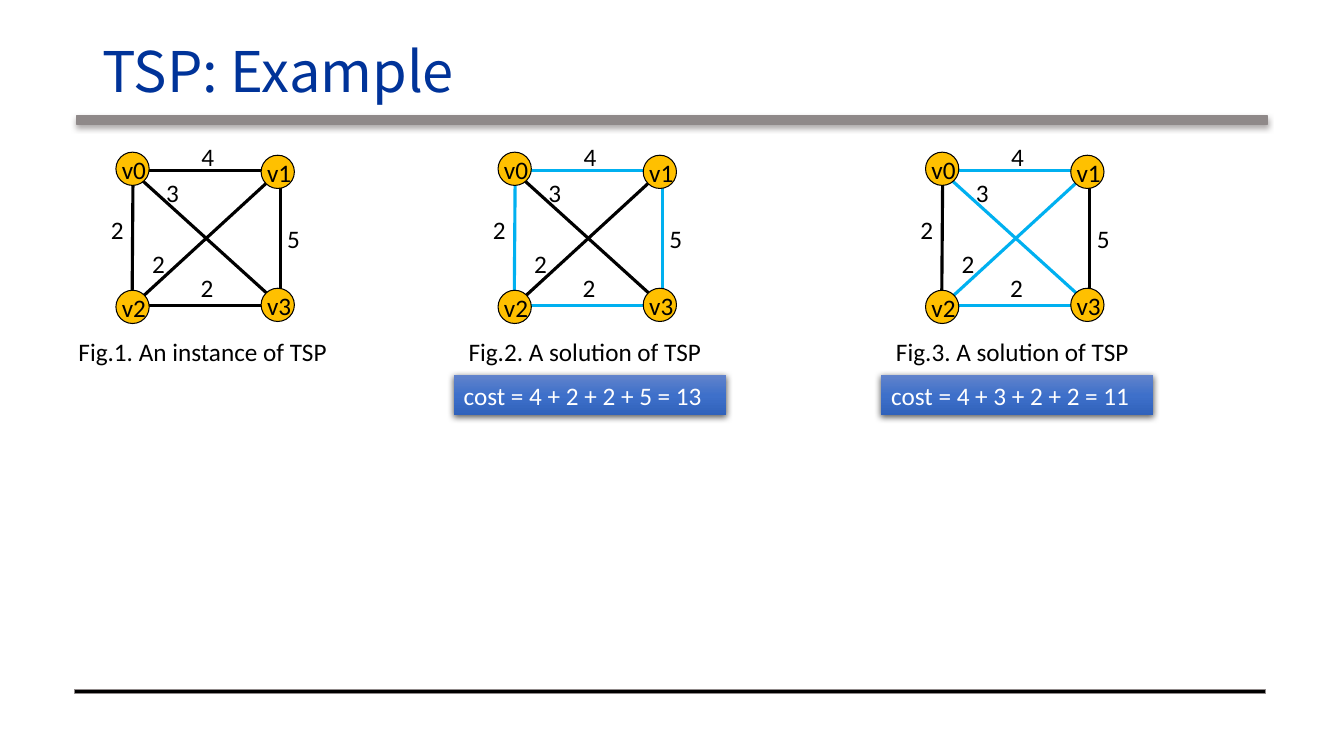
from copy import deepcopy

from lxml import etree
from pptx import Presentation
from pptx.dml.color import RGBColor
from pptx.enum.shapes import MSO_CONNECTOR, MSO_SHAPE
from pptx.enum.text import MSO_ANCHOR, MSO_AUTO_SIZE, PP_ALIGN
from pptx.oxml.ns import qn
from pptx.util import Inches, Pt

COLORS = {
    "title": "003399",
    "bar": "8F8989",
    "bar_shadow": "AFABAB",
    "black": "000000",
    "white": "FFFFFF",
    "node": "FFC000",
    "tour": "00B0F0",
}
COST_GRADIENT = [(0, "6183CB"), (0.5, "3E70CA"), (1, "3062BB")]
NODE_SIZE = 0.33

# Positions are those of the first figure; the others are shifted to the right.
NODES = {"v0": (1.15, 1.51), "v1": (2.59, 1.54), "v2": (1.15, 2.88), "v3": (2.59, 2.86)}
EDGES = {
    "v0-v2": (1.32, 1.69, 1.31, 3.03),
    "v0-v1": (1.3, 1.69, 2.78, 1.69),
    "v2-v3": (1.31, 3.03, 2.78, 3.03),
    "v1-v3": (2.78, 1.69, 2.78, 3.03),
    "v0-v3": (1.3, 1.69, 2.78, 3.03),
    "v1-v2": (2.78, 1.69, 1.32, 3.03),
}
WEIGHTS = [
    ("5", 2.75, 2.17),
    ("3", 1.55, 1.71),
    ("2", 1, 2.08),
    ("2", 1.41, 2.41),
    ("2", 1.89, 2.65),
    ("4", 1.9, 1.35),
]
FIGURES = [
    (0, "Fig.1. An instance of TSP", [], None),
    (3.79, "Fig.2. A solution of TSP",
     ["v0-v1", "v0-v2", "v2-v3", "v1-v3"], "cost = 4 + 2 + 2 + 5 = 13"),
    (8.03, "Fig.3. A solution of TSP",
     ["v0-v1", "v0-v3", "v2-v3", "v1-v2"], "cost = 4 + 3 + 2 + 2 = 11"),
]


def rgb(name):
    return RGBColor.from_string(COLORS[name])


def set_text(shape, text, color="black", align=PP_ALIGN.LEFT):
    frame = shape.text_frame
    frame.word_wrap = True
    frame.auto_size = MSO_AUTO_SIZE.SHAPE_TO_FIT_TEXT
    frame.vertical_anchor = MSO_ANCHOR.TOP
    paragraph = frame.paragraphs[0]
    paragraph.text = text
    paragraph.alignment = align
    paragraph.font.name = "Calibri"
    paragraph.font.size = Pt(18)
    paragraph.font.color.rgb = rgb(color)


def add_label(shapes, text, left, top, width, align=PP_ALIGN.LEFT):
    box = shapes.add_textbox(Inches(left), Inches(top), Inches(width), Inches(0.4))
    set_text(box, text, align=align)


def add_shape(shapes, kind, left, top, width, height):
    shape = shapes.add_shape(kind, Inches(left), Inches(top), Inches(width), Inches(height))
    shape.shadow.inherit = False
    return shape


def add_shadow(shape, color, opacity, blur, distance):
    """Give the shape a shadow that falls straight down."""
    effects = shape._element.spPr.find(qn("a:effectLst"))
    shadow = etree.SubElement(
        effects, qn("a:outerShdw"), blurRad=str(Pt(blur)), dist=str(Pt(distance)),
        dir="5400000", algn="ctr", rotWithShape="0")
    shade = etree.SubElement(shadow, qn("a:srgbClr"), val=COLORS[color])
    etree.SubElement(shade, qn("a:alpha"), val=str(opacity * 1000))


def add_bar(shapes, left, top, height, color):
    bar = add_shape(shapes, MSO_SHAPE.RECTANGLE, left, top, 11.81, height)
    bar.fill.solid()
    bar.fill.fore_color.rgb = rgb(color)
    bar.line.color.rgb = rgb("bar")
    bar.line.width = Pt(1)
    return bar


def add_title(slide, text):
    title = slide.shapes.title
    title.left, title.top = Inches(0.92), Inches(0.25)
    title.width, title.height = Inches(11.2), Inches(0.98)
    frame = title.text_frame
    frame.text = text
    frame.auto_size = MSO_AUTO_SIZE.NONE
    frame.vertical_anchor = MSO_ANCHOR.MIDDLE
    paragraph = frame.paragraphs[0]
    paragraph.alignment = PP_ALIGN.LEFT
    paragraph.line_spacing = 0.9
    paragraph.font.name = "Noto Sans CJK SC"
    paragraph.font.size = Pt(40)
    paragraph.font.color.rgb = rgb("title")


def add_edge(shapes, ends, shift, color):
    x1, y1, x2, y2 = ends
    edge = shapes.add_connector(
        MSO_CONNECTOR.STRAIGHT, Inches(x1 + shift), Inches(y1), Inches(x2 + shift), Inches(y2))
    edge.line.color.rgb = rgb(color)
    edge.line.width = Pt(2.25)
    etree.SubElement(edge._element.spPr, qn("a:effectLst"))


def add_node(shapes, name, left, top):
    node = add_shape(shapes, MSO_SHAPE.OVAL, left, top, NODE_SIZE, NODE_SIZE)
    node.fill.solid()
    node.fill.fore_color.rgb = rgb("node")
    node.line.color.rgb = rgb("black")
    node.line.width = Pt(0.75)
    add_label(shapes, name, left - 0.04, top - 0.03, 0.52)


def add_graph(slide, shift, caption, tour):
    """Draw one weighted graph with the edges of its tour highlighted."""
    shapes = slide.shapes.add_group_shape().shapes
    add_label(shapes, caption, 0.15 + shift, 3.29, 3.72, PP_ALIGN.CENTER)
    for name, ends in EDGES.items():
        add_edge(shapes, ends, shift, "tour" if name in tour else "black")
    for name, (left, top) in NODES.items():
        add_node(shapes, name, left + shift, top)
    for weight, left, top in WEIGHTS:
        add_label(shapes, weight, left + shift, top, 0.35)


def add_cost(slide, shift, text):
    box = add_shape(slide.shapes, MSO_SHAPE.RECTANGLE, 0.71 + shift, 3.72, 2.7, 0.4)
    box.line.fill.background()
    box.fill.gradient()
    box.fill.gradient_angle = 270
    stop_list = box._element.spPr.find(".//" + qn("a:gsLst"))
    stop_list.append(deepcopy(stop_list[0]))
    for stop, (position, color) in zip(box.fill.gradient_stops, COST_GRADIENT):
        stop.position = position
        stop.color.rgb = RGBColor.from_string(color)
    add_shadow(box, "black", 63, 4.5, 1.5)
    set_text(box, text, "white")


def main():
    presentation = Presentation()
    presentation.slide_width = Inches(13.33)
    presentation.slide_height = Inches(7.5)
    slide = presentation.slides.add_slide(presentation.slide_layouts[5])

    header_bar = add_bar(slide.shapes, 0.76, 1.15, 0.08, "bar")
    add_shadow(header_bar, "bar_shadow", 100, 4, 2)
    add_bar(slide.shapes, 0.74, 6.84, 0.04, "black")
    add_title(slide, "TSP: Example")
    for shift, caption, tour, cost in FIGURES:
        add_graph(slide, shift, caption, tour)
        if cost:
            add_cost(slide, shift, cost)

    presentation.save("out.pptx")


if __name__ == "__main__":
    main()
